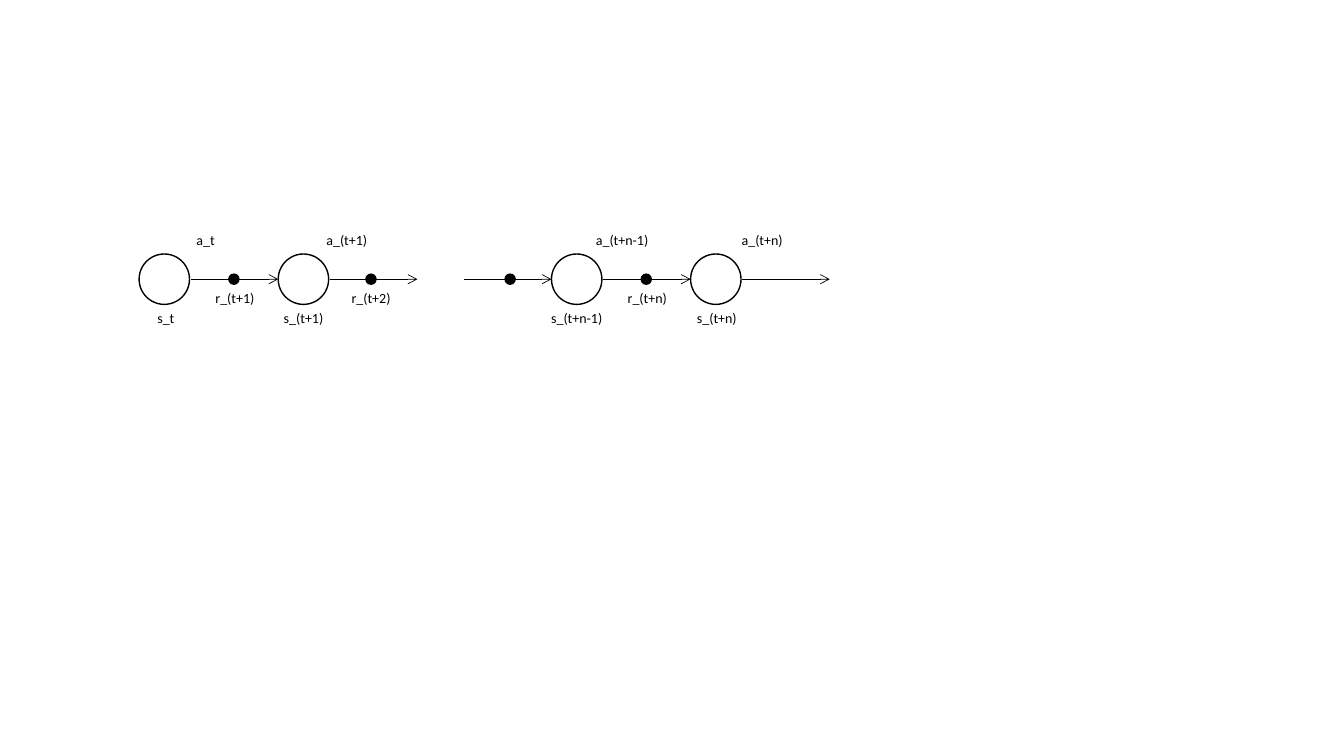
from dataclasses import dataclass

from lxml import etree
from pptx import Presentation
from pptx.dml.color import RGBColor
from pptx.enum import shapes, text
from pptx.oxml import ns
from pptx.util import Inches, Pt


@dataclass(frozen=True)
class Theme:
    ink: RGBColor = RGBColor(0, 0, 0)
    font: str = "Calibri"
    label_size: float = 10
    outline: float = 1
    arrow_line: float = 0.5


class Diagram:
    def __init__(self, slide, theme):
        self.slide = slide
        self.theme = theme

    def circle(self, left, top, size, filled=False):
        sp = self.slide.shapes.add_shape(
            shapes.MSO_SHAPE.OVAL, Inches(left), Inches(top), Inches(size), Inches(size))
        sp.shadow.inherit = False
        sp.line.color.rgb = self.theme.ink
        sp.line.width = Pt(self.theme.outline)
        if filled:
            sp.fill.solid()
            sp.fill.fore_color.rgb = self.theme.ink
        else:
            sp.fill.background()

    def arrow(self, start, y, length):
        cxn = self.slide.shapes.add_connector(
            shapes.MSO_CONNECTOR.STRAIGHT,
            Inches(start), Inches(y), Inches(start + length), Inches(y))
        cxn.line.color.rgb = self.theme.ink
        cxn.line.width = Pt(self.theme.arrow_line)
        ln = cxn.line._get_or_add_ln()
        etree.SubElement(ln, ns.qn("a:tailEnd"), type="arrow")
        etree.SubElement(cxn._element.spPr, ns.qn("a:effectLst"))

    def label(self, words, left, top, width=0.86):
        box = self.slide.shapes.add_textbox(
            Inches(left), Inches(top), Inches(width), Inches(0.27))
        tf = box.text_frame
        tf.word_wrap = True
        tf.auto_size = text.MSO_AUTO_SIZE.SHAPE_TO_FIT_TEXT
        tf.text = words
        p = tf.paragraphs[0]
        p.alignment = text.PP_ALIGN.CENTER
        font = p.runs[0].font
        font.name = self.theme.font
        font.size = Pt(self.theme.label_size)
        font.color.rgb = self.theme.ink


AXIS = 2.77
STATE_SIZE = 0.5
DOT_SIZE = 0.1
ARROW_LENGTH = 0.87
ACTION_TOP, REWARD_TOP, STATE_TOP = 2.25, 2.82, 3.02

STATES = [
    (1.38, "s_t", 1.4, 0.49),
    (2.76, "s_(t+1)", 2.65, 0.72),
    (5.47, "s_(t+n-1)", 5.29, 0.86),
    (6.85, "s_(t+n)", 6.68, 0.86),
]
ACTIONS = [("a_t", 1.61), ("a_(t+1)", 3.01), ("a_(t+n-1)", 5.74), ("a_(t+n)", 7.13)]
REWARDS = [("r_(t+1)", 1.9), ("r_(t+2)", 3.25), ("r_(t+n)", 5.99)]
DOTS = [2.27, 3.63, 5.01, 6.36]
ARROWS = [1.89, 3.27, 4.6, 5.98, 7.36]


def main():
    prs = Presentation()
    prs.slide_width, prs.slide_height = Inches(13.33), Inches(7.5)
    diagram = Diagram(prs.slides.add_slide(prs.slide_layouts[6]), Theme())

    for left, name, label_left, label_width in STATES:
        diagram.circle(left, AXIS - STATE_SIZE / 2, STATE_SIZE)
        diagram.label(name, label_left, STATE_TOP, label_width)
    for left in DOTS:
        diagram.circle(left, AXIS - DOT_SIZE / 2, DOT_SIZE, filled=True)
    for start in ARROWS:
        diagram.arrow(start, AXIS, ARROW_LENGTH)
    for labels, top in ((ACTIONS, ACTION_TOP), (REWARDS, REWARD_TOP)):
        for name, left in labels:
            diagram.label(name, left, top)

    prs.save("out.pptx")


if __name__ == "__main__":
    main()
